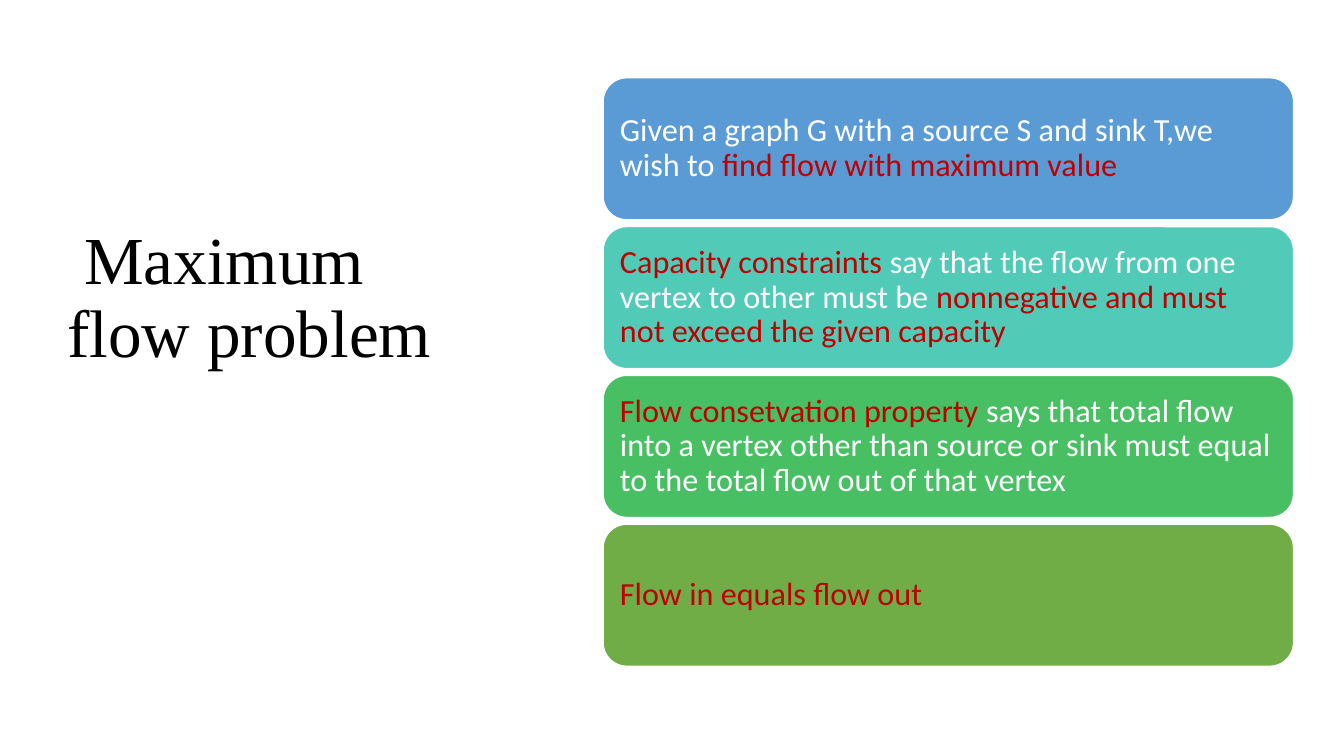
import pptx
import pptx.dml.color
import pptx.enum.shapes
import pptx.enum.text
import pptx.util

Cm = pptx.util.Cm
Pt = pptx.util.Pt
RGBColor = pptx.dml.color.RGBColor

BLACK = RGBColor(0x00, 0x00, 0x00)
WHITE = RGBColor(0xFF, 0xFF, 0xFF)
RED = RGBColor(0xC0, 0x00, 0x00)
BLUE = RGBColor(0x5B, 0x9B, 0xD5)
TEAL = RGBColor(0x52, 0xCA, 0xB8)
GREEN = RGBColor(0x49, 0xBF, 0x64)
OLIVE = RGBColor(0x70, 0xAD, 0x47)

STATEMENTS = [
    (BLUE, [("Given a graph G with a source S and sink T,we wish to ", WHITE),
            ("find flow with maximum value", RED)]),
    (TEAL, [("Capacity constraints ", RED),
            ("say that the flow from one vertex to other must be ", WHITE),
            ("nonnegative and must not exceed the given capacity", RED)]),
    (GREEN, [("Flow consetvation property ", RED),
             ("says that total flow into a vertex other than source or sink "
              "must equal to the total flow out of that vertex", WHITE)]),
    (OLIVE, [("Flow in equals flow out", RED)]),
]
CARD_TOP = 1.96
CARD_PITCH = 3.75


class SlideBuilder:
    """Holds the text style and the current slide, and adds its elements."""

    title_font = ("Times New Roman", 48)
    card_font = ("Calibri", 23)

    def __init__(self, presentation):
        self.slide = presentation.slides.add_slide(presentation.slide_layouts[5])

    def add_text(self, shape, runs, font):
        frame = shape.text_frame
        frame.word_wrap = True
        frame.auto_size = pptx.enum.text.MSO_AUTO_SIZE.NONE
        frame.vertical_anchor = pptx.enum.text.MSO_ANCHOR.MIDDLE
        frame.margin_left = frame.margin_right = Cm(0.25)
        paragraph = frame.paragraphs[0]
        paragraph.alignment = pptx.enum.text.PP_ALIGN.LEFT
        paragraph.line_spacing = 0.9
        for text, color in runs:
            run = paragraph.add_run()
            run.text = text
            run.font.name, size = font
            run.font.size = Pt(size)
            run.font.color.rgb = color

    def title(self, text, left, top, width, height, lift):
        shape = self.slide.shapes.title
        shape.left, shape.top = Cm(left), Cm(top)
        shape.width, shape.height = Cm(width), Cm(height)
        self.add_text(shape, [(text, BLACK)], self.title_font)
        shape.text_frame.margin_bottom = Cm(lift)

    def card(self, fill, runs, left, top, width, height):
        shape = self.slide.shapes.add_shape(
            pptx.enum.shapes.MSO_SHAPE.ROUNDED_RECTANGLE,
            Cm(left), Cm(top), Cm(width), Cm(height))
        shape.shadow.inherit = False
        shape.fill.solid()
        shape.fill.fore_color.rgb = fill
        shape.line.color.rgb = WHITE
        shape.line.width = Pt(1)
        self.add_text(shape, runs, self.card_font)


def main():
    presentation = pptx.Presentation()
    presentation.slide_width = Cm(33.87)
    presentation.slide_height = Cm(19.05)
    builder = SlideBuilder(presentation)
    builder.title(" Maximum flow problem", 1.45, 1.73, 10.57, 15.29, lift=3.8)
    for index, (fill, runs) in enumerate(STATEMENTS):
        builder.card(fill, runs, 15.2, CARD_TOP + index * CARD_PITCH, 17.4, 3.58)
    presentation.save("out.pptx")


if __name__ == "__main__":
    main()
